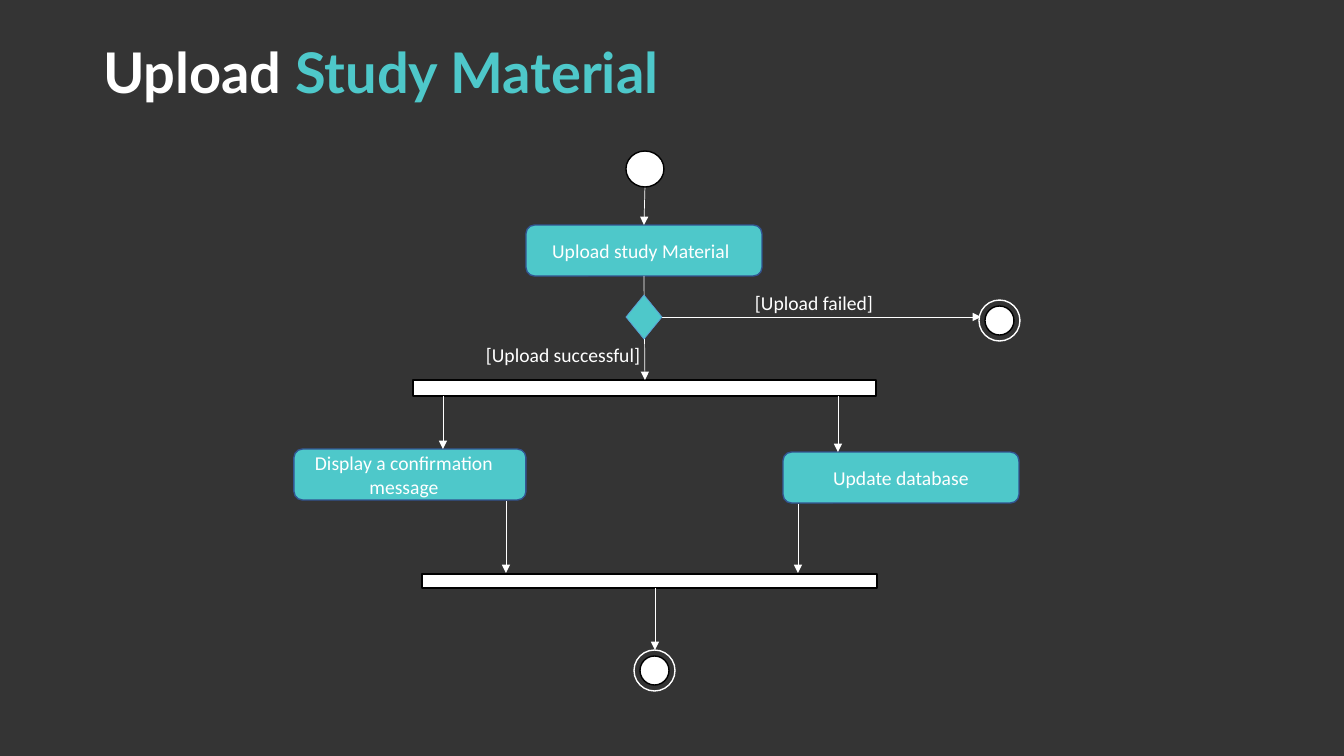
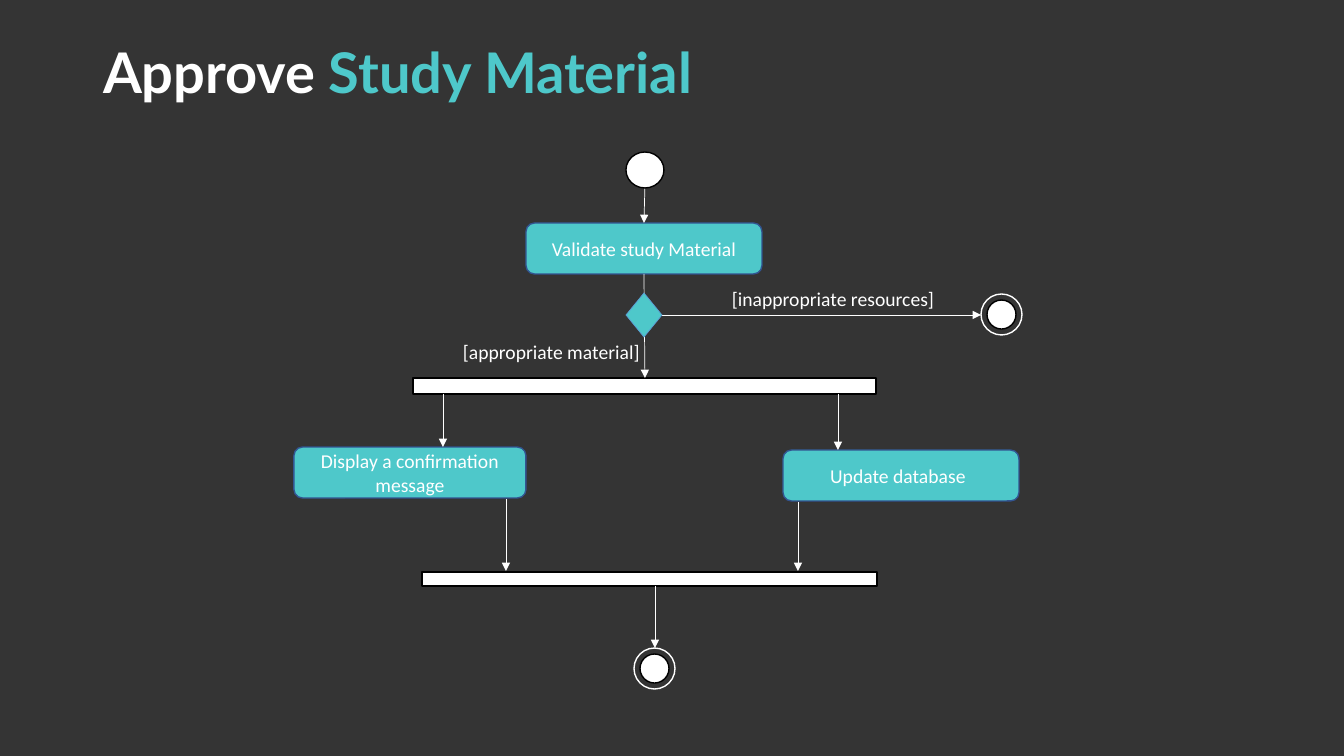
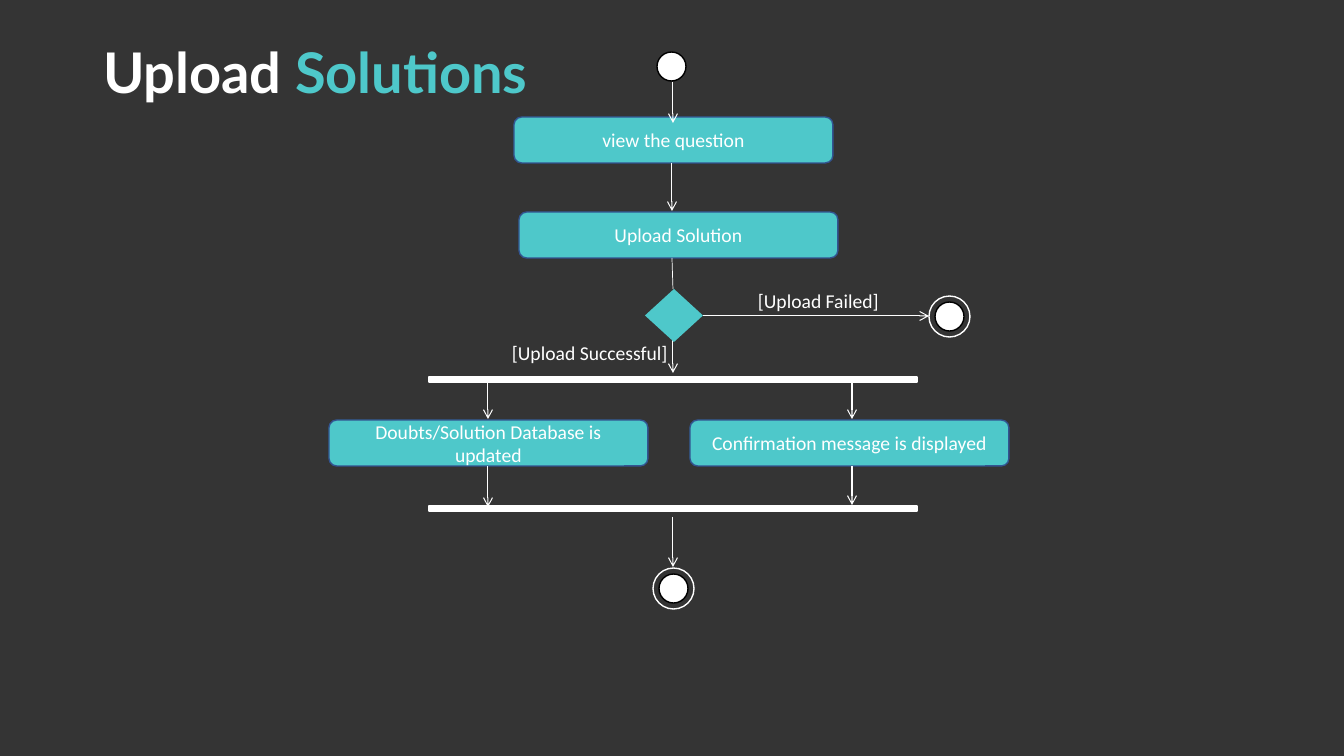
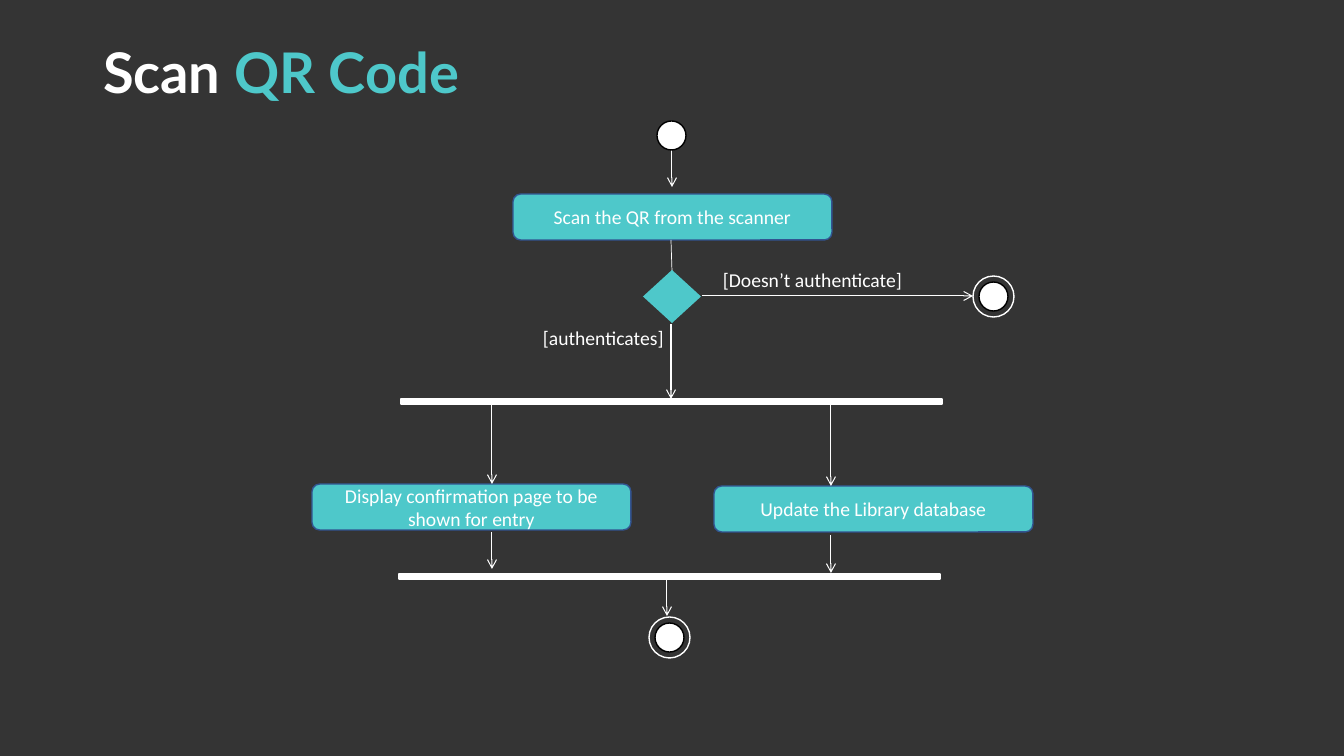
from dataclasses import dataclass

from lxml.etree import SubElement
from pptx import Presentation
from pptx.dml.color import RGBColor
from pptx.enum.shapes import MSO_CONNECTOR, MSO_SHAPE
from pptx.enum.text import MSO_ANCHOR, MSO_AUTO_SIZE, PP_ALIGN
from pptx.oxml.ns import qn
from pptx.util import Pt


@dataclass(frozen=True)
class Theme:
    ground: RGBColor = RGBColor(0x34, 0x34, 0x34)
    accent: RGBColor = RGBColor(0x4E, 0xC8, 0xCA)
    white: RGBColor = RGBColor(0xFF, 0xFF, 0xFF)
    black: RGBColor = RGBColor(0x00, 0x00, 0x00)
    step_edge: RGBColor = RGBColor(0x32, 0x54, 0x91)
    choice_edge: RGBColor = RGBColor(0x5B, 0x9B, 0xD5)
    title_font: str = "Lato"
    body_font: str = "Calibri"
    title_size: int = 40
    body_size: int = 14


theme = Theme()

# The page is 1344 x 756 px
PAGE_W, PAGE_H = 1344, 756
SCALE = 12192000 / PAGE_W
RING, DOT = 41, 29
DOT_INSET = (RING - DOT) // 2


def draw(shapes, preset, box, fill, edge=None, weight=1):
    """Add a flat preset shape; box is left, top, width, height in px."""
    drawn = shapes.add_shape(preset, *(round(v * SCALE) for v in box))
    drawn.shadow.inherit = False
    drawn.fill.solid()
    drawn.fill.fore_color.rgb = fill
    if edge is None:
        drawn.line.fill.background()
    else:
        drawn.line.color.rgb = edge
        drawn.line.width = Pt(weight)
    return drawn


def write(paragraph, words, font, size, color, bold=False):
    run = paragraph.add_run()
    run.text = words
    run.font.name = font
    run.font.size = Pt(size)
    run.font.bold = bold
    run.font.color.rgb = color


# Two drawing manners: solid arrowheads with thick bars, open ones with thin bars
solid_manner = dict(
    step_shape=MSO_SHAPE.FLOWCHART_ALTERNATE_PROCESS,
    start_shape=MSO_SHAPE.FLOWCHART_CONNECTOR,
    choice_shape=MSO_SHAPE.FLOWCHART_DECISION,
    choice_edge=theme.choice_edge, bar_edge=theme.black,
    head="triangle", weight=0.5,
)
open_manner = dict(
    step_shape=MSO_SHAPE.ROUNDED_RECTANGLE,
    start_shape=MSO_SHAPE.OVAL,
    choice_shape=MSO_SHAPE.DIAMOND,
    choice_edge=None, bar_edge=theme.white,
    head="arrow", weight=0.75, shift=0,
)

# Both study-material flows share one plan, moved down by their shift
material_plan = dict(
    solid_manner,
    boxes=[(526, 225, 236, 51), (294, 449, 232, 51), (783, 452, 236, 51)],
    choice=(626, 295, 36, 44),
    bars=[(413, 380, 463, 16), (422, 574, 455, 14)],
    stem=None,
    arrows=[(645, 187, 644, 225), (644, 276, 645, 380), (662, 317, 981, 317),
            (443, 396, 443, 449), (838, 396, 838, 452), (506, 501, 506, 573),
            (798, 504, 798, 573), (655, 588, 655, 650)],
)

# Steps are (words, sideways nudge of the words); labels are (words, left, top, width)
flows = [
    dict(
        material_plan, title=("Upload", " Study Material"), shift=0,
        start=(626, 151, 38, 36),
        steps=[("Upload study Material", -3), ("Display a confirmation message", -6),
               ("Update database", 0)],
        labels=[("[Upload failed]", 745, 286, 186), ("[Upload successful]", 476, 338, 210)],
        ends=[(979, 300), (634, 650)],
    ),
    dict(
        material_plan, title=("Approve", " Study Material"), shift=-2,
        start=(626, 152, 38, 36),
        steps=[("Validate study Material", 0), ("Display a confirmation message", 0),
               ("Update database", -3)],
        labels=[("[inappropriate resources]", 722, 282, 232),
                ("[appropriate material]", 453, 335, 210)],
        ends=[(981, 294), (634, 648)],
    ),
    dict(
        open_manner, title=("Upload", " Solutions"),
        start=(657, 52, DOT, DOT),
        boxes=[(x, y, 319, 46) for x, y in [(514, 117), (519, 212), (329, 420), (690, 420)]],
        steps=[("view the question", 0), ("Upload Solution", 0),
               ("Doubts/Solution Database is updated", 0),
               ("Confirmation message is displayed", 0)],
        choice=(645, 289, 58, 53),
        bars=[(429, y, 488, 5) for y in (377, 506)],
        stem=(673, 289, 672, 258),
        arrows=[(673, 82, 673, 123), (672, 163, 672, 211), (703, 316, 929, 316),
                (673, 336, 673, 373), (488, 382, 488, 419), (852, 379, 852, 419),
                (488, 466, 488, 507), (852, 466, 852, 505), (673, 517, 673, 567)],
        labels=[("[Upload Failed]", 748, 284, 194), ("[Upload Successful]", 502, 336, 194)],
        ends=[(929, 296), (653, 568)],
    ),
    dict(
        open_manner, title=("Scan", " QR Code"),
        start=(657, 121, DOT, DOT),
        boxes=[(x, y, 319, 46) for x, y in [(513, 194), (312, 484), (714, 486)]],
        steps=[("Scan the QR from the scanner", 0),
               ("Display confirmation page to be shown for entry", 0),
               ("Update the Library database", 0)],
        choice=(643, 270, 58, 53),
        bars=[(401, 399, 541, 5), (399, 574, 541, 5)],
        stem=(672, 271, 671, 240),
        arrows=[(672, 150, 672, 187), (702, 296, 973, 296), (671, 324, 671, 399),
                (492, 404, 492, 484), (831, 404, 831, 486), (492, 532, 492, 569),
                (831, 535, 831, 573), (667, 579, 667, 616)],
        labels=[("[Doesn’t authenticate]", 713, 263, 260), ("[authenticates]", 533, 321, 260)],
        ends=[(973, 276), (649, 617)],
    ),
]

# Shared page: dark ground and title place on the layout
deck = Presentation()
deck.slide_width = round(PAGE_W * SCALE)
deck.slide_height = round(PAGE_H * SCALE)
layout = deck.slide_layouts.get_by_name("Title Only")
layout.background.fill.solid()
layout.background.fill.fore_color.rgb = theme.ground
heading = layout.placeholders[0]
heading.left, heading.top, heading.width, heading.height = (
    round(v * SCALE) for v in (93, 40, 702, 146))
heading.text_frame.vertical_anchor = MSO_ANCHOR.TOP
heading.text_frame.auto_size = MSO_AUTO_SIZE.NONE

for flow in flows:
    slide = deck.slides.add_slide(layout)
    shapes = slide.shapes
    shift = flow["shift"]

    # Title in two colours
    headline = shapes.title.text_frame.paragraphs[0]
    headline.alignment = PP_ALIGN.LEFT
    headline.line_spacing = 0.9
    for words, color in zip(flow["title"], (theme.white, theme.accent)):
        write(headline, words, theme.title_font, theme.title_size, color, bold=True)

    # Steps
    for (x, y, w, h), (words, nudge) in zip(flow["boxes"], flow["steps"]):
        step = draw(shapes, flow["step_shape"], (x, y + shift, w, h),
                    theme.accent, theme.step_edge)
        frame = step.text_frame
        frame.word_wrap = True
        frame.vertical_anchor = MSO_ANCHOR.MIDDLE
        frame.margin_top = frame.margin_bottom = 0
        frame.margin_right = round((10 - 2 * nudge) * SCALE)
        frame.paragraphs[0].alignment = PP_ALIGN.CENTER
        write(frame.paragraphs[0], words, theme.body_font, theme.body_size, theme.white)

    # Fork and join bars
    for x, y, w, h in flow["bars"]:
        draw(shapes, MSO_SHAPE.RECTANGLE, (x, y + shift, w, h), theme.white, flow["bar_edge"])

    # Arrows, and the plain stem above the choice
    links = [(ends, flow["head"], flow["weight"]) for ends in flow["arrows"]]
    if flow["stem"]:
        links.append((flow["stem"], "none", 0.5))
    for (x1, y1, x2, y2), head, weight in links:
        link = shapes.add_connector(
            MSO_CONNECTOR.STRAIGHT,
            *(round(v * SCALE) for v in (x1, y1 + shift, x2, y2 + shift)))
        link.line.color.rgb = theme.white
        link.line.width = Pt(weight)
        SubElement(link.line._get_or_add_ln(), qn("a:tailEnd"), type=head)
        SubElement(link._element.spPr, qn("a:effectLst"))

    # Choice and start
    x, y, w, h = flow["choice"]
    draw(shapes, flow["choice_shape"], (x, y + shift, w, h),
         theme.accent, flow["choice_edge"], 0.5)
    draw(shapes, flow["start_shape"], flow["start"], theme.white, theme.black)

    # Ends: a dot in a ring
    for x, y in flow["ends"]:
        end = shapes.add_group_shape().shapes
        draw(end, MSO_SHAPE.OVAL, (x, y, RING, RING), theme.ground, theme.white)
        draw(end, MSO_SHAPE.OVAL, (x + DOT_INSET, y + DOT_INSET, DOT, DOT),
             theme.white, theme.black)

    # Labels on the two ways out of the choice
    for words, x, y, w in flow["labels"]:
        label = shapes.add_textbox(*(round(v * SCALE) for v in (x, y, w, 34))).text_frame
        label.word_wrap = True
        write(label.paragraphs[0], words, theme.body_font, theme.body_size, theme.white)

deck.save("out.pptx")
